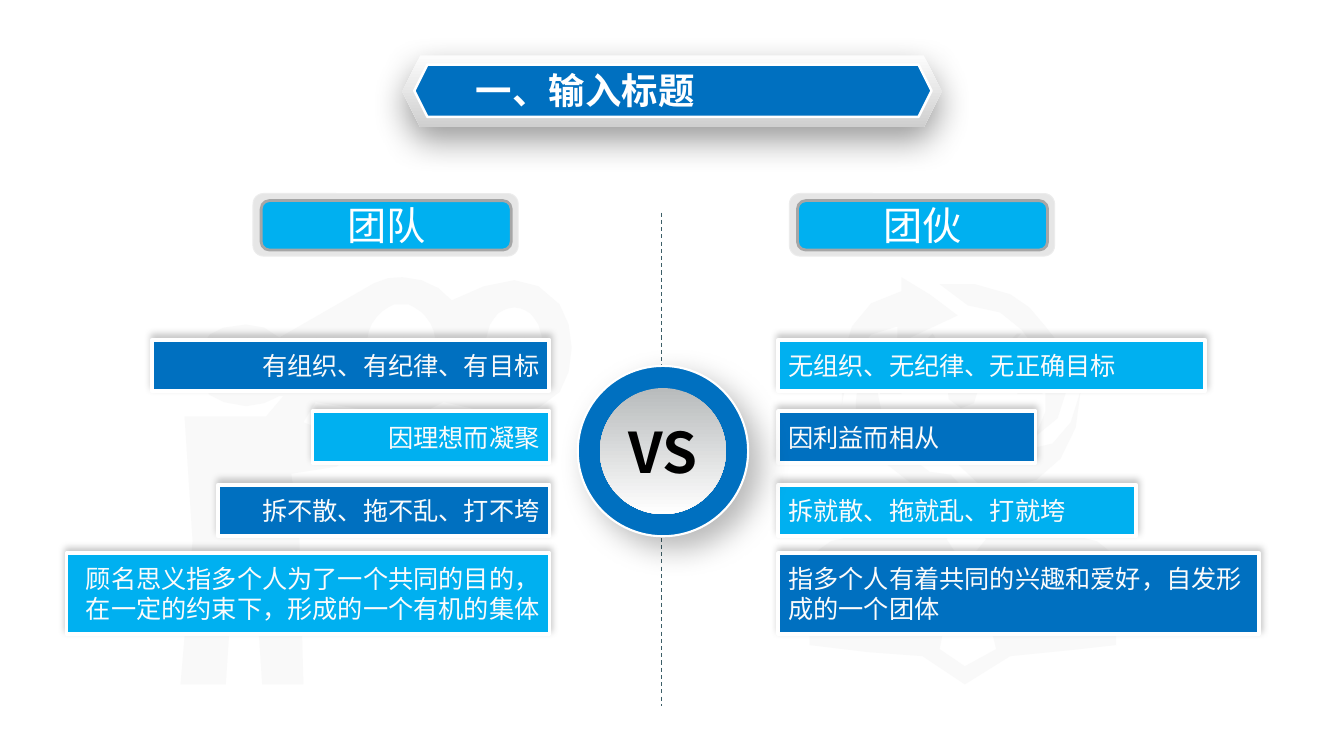
"""Build a slide that compares a team with a gang, point by point."""
import math

import pptx
import pptx.dml.color
import pptx.enum.dml
import pptx.enum.shapes
import pptx.enum.text
import pptx.oxml.ns
import pptx.util
from lxml import etree

Inches = pptx.util.Inches
Pt = pptx.util.Pt
SHAPE = pptx.enum.shapes.MSO_SHAPE
ALIGN = pptx.enum.text.PP_ALIGN
qn = pptx.oxml.ns.qn

COLORS = {
    "blue": "0070C0", "cyan": "00B0F0", "white": "FFFFFF", "soft": "FBFBFB",
    "black": "000000", "plate": "E6E6E6", "plate_edge": "ECECEC",
    "edge": "A6A6A6", "icon": "F2F2F2", "dash": "3C5E67",
    "steel": "B8BBBC", "bevel_top": "FCFCFC", "bevel_bottom": "CFCFCF",
}
BAR_SHADOW = (22, 5, 3, 275)
RING_SHADOW = (28, 22, 12, 45)
BANNER_SHADOW = (40, 25, 9, 90)


def oval(x, y, radius_x, radius_y, steps=32):
    turns = [2 * math.pi * step / steps for step in range(steps)]
    return [(x + radius_x * math.cos(turn), y + radius_y * math.sin(turn))
            for turn in turns]


BINOCULARS = [
    [(371, 281), (385, 276), (399, 275), (418, 278), (435, 286), (448, 298),
     (480, 284), (510, 278), (534, 284), (555, 302), (564, 322), (567, 345),
     (564, 369), (555, 389), (535, 404), (510, 409), (476, 407), (440, 399),
     (420, 409), (391, 413), (334, 463), (289, 470), (297, 537), (301, 679),
     (260, 679), (252, 557), (232, 557), (224, 679), (179, 679), (191, 537),
     (183, 413), (264, 413), (281, 393), (277, 393), (262, 400), (244, 403),
     (222, 399), (208, 392), (198, 378), (195, 362), (198, 347), (208, 332),
     (222, 325), (244, 322), (262, 325), (277, 335)],
    [(301, 419), (330, 430), (358, 406), (313, 399)],
    oval(510, 343.5, 28.5, 38.5),
    oval(398, 345, 34.5, 43.5),
]
CLOCK_FIGURE = [
    [(803, 552), (824, 537), (857, 529), (895, 521), (925, 507), (988, 507),
     (1018, 521), (1056, 529), (1088, 537), (1107, 552), (1107, 640),
     (1062, 645), (1002, 651), (957, 679), (915, 651), (861, 647), (803, 640)],
    [(950, 313), (890, 341), (890, 324), (864, 332), (845, 354), (835, 401),
     (835, 358), (845, 324), (864, 301), (894, 289), (894, 275), (922, 292)],
    [(943, 454), (992, 500), (995, 485), (1028, 476), (1052, 455), (1067, 424),
     (1072, 387), (1062, 419), (1044, 440), (1002, 450), (1006, 433)],
    [(964, 493), (943, 471), (922, 468), (894, 447), (877, 421), (870, 387),
     (873, 363), (877, 345), (862, 353), (852, 372), (849, 398), (849, 408),
     (860, 436), (880, 461), (907, 482), (939, 493)],
    [(953, 370), (950, 370), (925, 331), (918, 338), (939, 377), (941, 396),
     (953, 405), (966, 400), (971, 384), (992, 359), (985, 352), (960, 373)],
    [(967, 282), (932, 282), (960, 303), (992, 310), (1013, 327), (1027, 345),
     (1037, 370), (1037, 408), (1027, 433), (1049, 415), (1058, 387),
     (1058, 366), (1052, 343), (1037, 324), (1021, 305), (1002, 292)],
    [(1002, 338), (1009, 331), (1013, 331), (1006, 338)],
    [(1009, 384), (1034, 384), (1034, 391), (1009, 391)],
    [(873, 384), (873, 391), (894, 391), (894, 384)],
    [(904, 436), (897, 443), (894, 443), (901, 436)],
    [(946, 524), (939, 535), (950, 552), (932, 644), (957, 661), (988, 644),
     (967, 556), (964, 552), (978, 535), (971, 524)],
]


class SlideBuilder:
    def __init__(self, slide, font_name):
        self.slide = slide
        self.font_name = font_name

    def color(self, name):
        return pptx.dml.color.RGBColor.from_string(COLORS[name])

    def apply(self, target, values):
        for name, value in values.items():
            setattr(target, name, value)

    def paint(self, shape, fill, line=None):
        if isinstance(fill, tuple):
            shape.fill.gradient()
            shape.fill.gradient_angle = 270
            for stop, name, position in zip(shape.fill.gradient_stops, fill, (0, 1)):
                self.apply(stop, {"position": position})
                stop.color.rgb = self.color(name)
        else:
            shape.fill.solid()
            shape.fill.fore_color.rgb = self.color(fill)
        if line:
            shape.line.color.rgb = self.color(line[0])
            shape.line.width = Pt(line[1])
        else:
            shape.line.fill.background()

    def shadow(self, shape, alpha, blur, distance, direction):
        effects = shape._element.spPr.find(qn("a:effectLst"))
        outer = etree.SubElement(
            effects, qn("a:outerShdw"), blurRad=str(Pt(blur)), dist=str(Pt(distance)),
            dir=str(direction * 60000), algn="ctr", rotWithShape="0")
        tint = etree.SubElement(outer, qn("a:srgbClr"), val=COLORS["black"])
        etree.SubElement(tint, qn("a:alpha"), val=str(alpha * 1000))

    def shape(self, kind, box, fill, line=None, shadow=None):
        shape = self.slide.shapes.add_shape(kind, *map(Inches, box))
        self.paint(shape, fill, line)
        shape.shadow.inherit = False
        if shadow:
            self.shadow(shape, *shadow)
        return shape

    def text(self, shape, words, size, color, align=ALIGN.CENTER, bold=False,
             inset=(0.1, 0.05), wrap=True):
        side, top = map(Inches, inset)
        frame = shape.text_frame
        self.apply(frame, {
            "text": words, "word_wrap": wrap,
            "auto_size": pptx.enum.text.MSO_AUTO_SIZE.NONE,
            "vertical_anchor": pptx.enum.text.MSO_ANCHOR.MIDDLE,
            "margin_left": side, "margin_right": side,
            "margin_top": top, "margin_bottom": top})
        paragraph = frame.paragraphs[0]
        self.apply(paragraph, {"alignment": align, "line_spacing": 1.0})
        run = paragraph.runs[0]
        run.font.color.rgb = self.color(color)
        self.apply(run.font, {"name": self.font_name, "size": Pt(size), "bold": bold})
        etree.SubElement(run.font._element, qn("a:ea"), typeface=self.font_name)

    def title(self, words, box):
        title = self.slide.shapes.title
        self.apply(title, dict(zip(("left", "top", "width", "height"), map(Inches, box))))
        self.text(title, words, 26, "white", ALIGN.LEFT, bold=True, wrap=False)
        self.slide.shapes._spTree.append(title._element)

    def icon(self, contours):
        first, *others = contours
        builder = self.slide.shapes.build_freeform(*first[0], scale=Inches(1) / 100)
        builder.add_line_segments(first[1:], close=True)
        for contour in others:
            builder.move_to(*contour[0])
            builder.add_line_segments(contour[1:], close=True)
        shape = builder.convert_to_shape()
        self.paint(shape, "icon")
        shape.shadow.inherit = False
        tint = shape._element.spPr.find(qn("a:solidFill"))[0]
        etree.SubElement(tint, qn("a:alpha"), val="43000")

    def divider(self, x, top, bottom):
        line = self.slide.shapes.add_connector(
            pptx.enum.shapes.MSO_CONNECTOR.STRAIGHT, *map(Inches, (x, top, x, bottom)))
        line.line.color.rgb = self.color("dash")
        self.apply(line.line, {"width": Pt(0.75),
                               "dash_style": pptx.enum.dml.MSO_LINE.DASH})
        etree.SubElement(line._element.spPr, qn("a:effectLst"))

    def bar(self, words, box, fill, align):
        bar = self.shape(SHAPE.RECTANGLE, box, fill, ("white", 2.75), BAR_SHADOW)
        self.text(bar, words, 18, "soft", align)

    def heading(self, words, left):
        self.shape(SHAPE.ROUNDED_RECTANGLE, (left, 1.92, 2.63, 0.62),
                   "plate", ("plate_edge", 0.75))
        button = self.shape(SHAPE.ROUNDED_RECTANGLE, (left + 0.08, 1.99, 2.48, 0.49),
                            "cyan", ("edge", 2))
        self.text(button, words, 28, "white", inset=(0.07, 0.04))


def main():
    presentation = pptx.Presentation()
    presentation.slide_width = Inches(13.33)
    presentation.slide_height = Inches(7.5)
    slide = presentation.slides.add_slide(presentation.slide_layouts[5])
    builder = SlideBuilder(slide, "Noto Sans CJK SC")

    builder.icon(CLOCK_FIGURE)
    builder.icon(BINOCULARS)
    builder.divider(6.56, 2.11, 7)

    rows = [
        (3.37, 0.51, "有组织、有纪律、有目标", 3.94, "无组织、无纪律、无正确目标", 4.23),
        (4.08, 0.51, "因理想而凝聚", 2.35, "因利益而相从", 2.55),
        (4.81, 0.51, "拆不散、拖不乱、打不垮", 3.29, "拆就散、拖就乱、打就垮", 3.55),
        (5.49, 0.8, "顾名思义指多个人为了一个共同的目的，在一定的约束下，形成的一个有机的集体", 4.79,
         "指多个人有着共同的兴趣和爱好，自发形成的一个团体", 4.77),
    ]
    fills = ("blue", "cyan")
    for index, (top, height, team, team_width, gang, gang_width) in enumerate(rows):
        builder.bar(team, (5.45 - team_width, top, team_width, height),
                    fills[index % 2], ALIGN.RIGHT)
        builder.bar(gang, (7.72, top, gang_width, height),
                    fills[(index + 1) % 2], ALIGN.LEFT)

    builder.shape(SHAPE.OVAL, (5.73, 3.63, 1.69, 1.69), "blue", ("white", 1.5), RING_SHADOW)
    badge = builder.shape(SHAPE.OVAL, (5.95, 3.85, 1.25, 1.25), ("steel", "white"))
    builder.text(badge, "VS", 40, "black", bold=True, inset=(0, 0))

    for words, left in (("团队", 2.51), ("团伙", 7.83)):
        builder.heading(words, left)

    builder.shape(SHAPE.HEXAGON, (3.99, 0.55, 5.35, 0.71),
                  ("bevel_top", "bevel_bottom"), shadow=BANNER_SHADOW)
    builder.shape(SHAPE.HEXAGON, (4.11, 0.64, 5.13, 0.52), "blue", ("white", 1.75))
    builder.title("一、输入标题", (4.62, 0.62, 2.39, 0.54))

    presentation.save("out.pptx")


if __name__ == "__main__":
    main()
